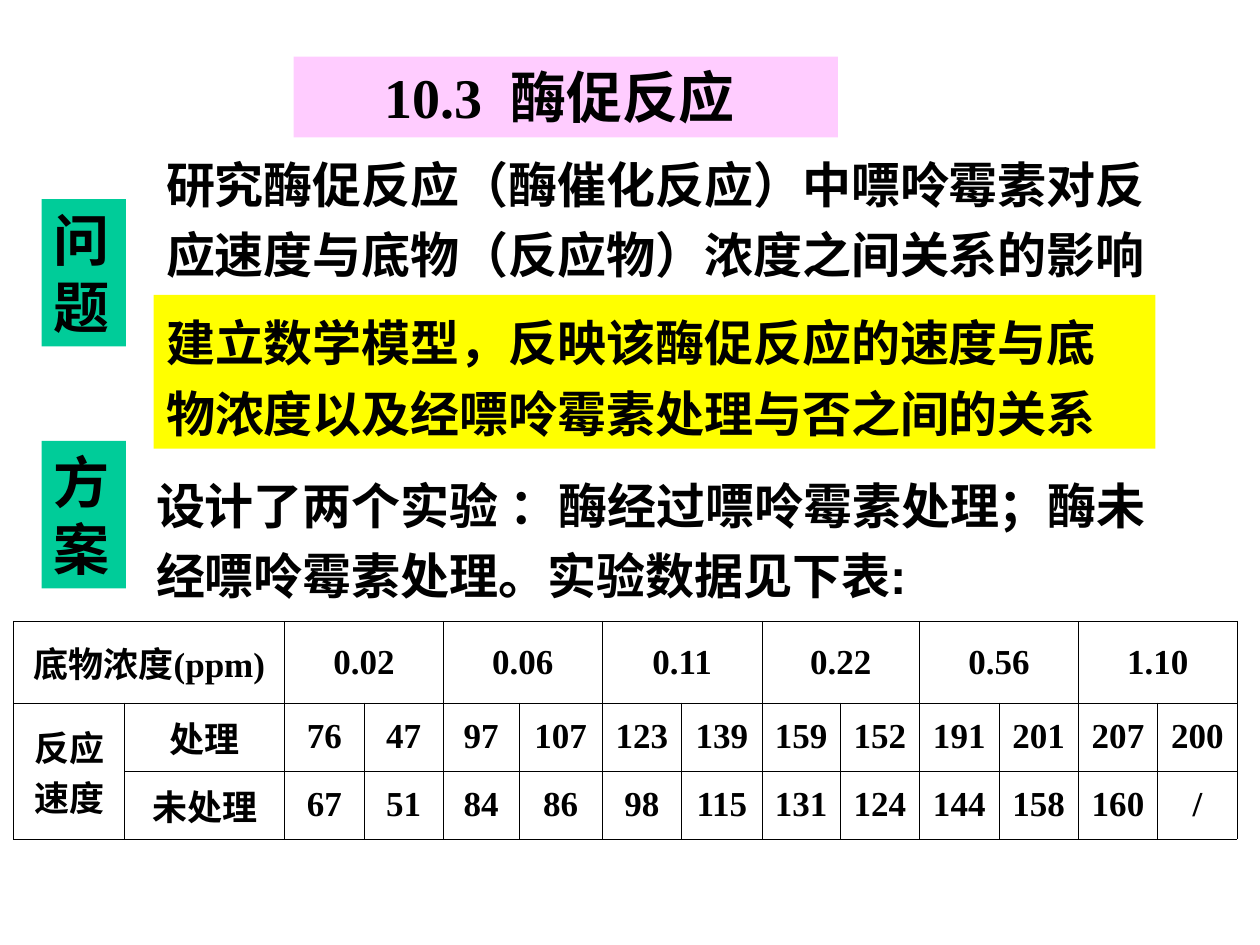
from lxml import etree
from pptx import Presentation
from pptx.dml.color import RGBColor
from pptx.enum import shapes, text
from pptx.oxml import ns
from pptx.util import Inches, Pt

SERIF, SANS, CHINESE = "Times New Roman", "Arial", "Noto Sans CJK SC"
BLACK, PINK, GREEN, YELLOW = "000000", "FFCCFF", "00CC99", "FFFF00"
LEFT, CENTER = text.PP_ALIGN.LEFT, text.PP_ALIGN.CENTER

# Boxes: position, fill, font size, alignment, line spacing, space before, runs
BOXES = [
    ((2.33, 0.45, 4.32, 0.64), PINK, 32, CENTER, 1, 20,
     [("10.3  ", SERIF), ("酶促反应 ", CHINESE)]),
    ((0.33, 1.58, 0.67, 1.17), GREEN, 32, LEFT, 1, 20, [("问题", SERIF)]),
    ((1.22, 1.08, 8.03, 1.22), None, 28, LEFT, 1.2, 17.5,
     [("研究酶促反应（", SANS), ("酶催化反应）", CHINESE),
      ("中嘌呤霉素对反应速度与底物", SANS), ("（反应物）", CHINESE),
      ("浓度之间关系的影响 ", SANS)]),
    ((1.22, 2.34, 7.95, 1.22), YELLOW, 28, LEFT, 1.2, 17.5,
     [("建立数学模型，反映该酶促反应的速度与底物浓度以及经嘌呤霉素处理与否之间的关系 ", SANS)]),
    ((1.14, 3.63, 8.35, 1.22), None, 28, LEFT, 1.2, 0,
     [("设计了两个实验 ：酶经过嘌呤霉素处理；酶未经嘌呤霉素处理。实验数据见下表: ", SANS)]),
    ((0.33, 3.5, 0.67, 1.17), GREEN, 32, LEFT, 1, 20, [("方案", SERIF)]),
]

# Table content
CONCENTRATIONS = ["0.02", "0.06", "0.11", "0.22", "0.56", "1.10"]
SPEEDS = {
    "处理": [76, 47, 97, 107, 123, 139, 159, 152, 191, 201, 207, 200],
    "未处理": [67, 51, 84, 86, 98, 115, 131, 124, 144, 158, 160, "/"],
}
COLUMNS = [0.88, 1.27, 0.63, 0.63, 0.6, 0.66, 0.63, 0.64, 0.62] + [0.63] * 5
ROWS = [0.65, 0.54, 0.54]


def color(value):
    return RGBColor.from_string(value)


def add_runs(paragraph, runs, size):
    for words, font_name in runs:
        run = paragraph.add_run()
        run.text = words
        run.font.name, run.font.size, run.font.bold = font_name, Pt(size), True
        run.font.color.rgb = color(BLACK)
        east_asian = etree.SubElement(run.font._element, ns.qn("a:ea"))
        east_asian.set("typeface", CHINESE)


def add_box(position, fill, size, align, line_spacing, space_before, runs):
    place = [Inches(value) for value in position]
    if fill:
        shape = slide.shapes.add_shape(shapes.MSO_SHAPE.RECTANGLE, *place)
        shape.shadow.inherit = False
        shape.fill.solid()
        shape.fill.fore_color.rgb = color(fill)
        shape.line.fill.background()
    else:
        shape = slide.shapes.add_textbox(*place)
    frame = shape.text_frame
    frame.word_wrap = True
    frame.auto_size = text.MSO_AUTO_SIZE.SHAPE_TO_FIT_TEXT
    frame.vertical_anchor = text.MSO_ANCHOR.TOP
    paragraph = frame.paragraphs[0]
    paragraph.alignment = align
    paragraph.line_spacing = line_spacing
    paragraph.space_before = Pt(space_before)
    add_runs(paragraph, runs, size)


def add_borders(cell):
    properties = cell._tc.get_or_add_tcPr()
    for index, side in enumerate(("lnL", "lnR", "lnT", "lnB")):
        line = etree.Element(ns.qn("a:" + side), w=str(Pt(0.45)))
        fill = etree.SubElement(line, ns.qn("a:solidFill"))
        etree.SubElement(fill, ns.qn("a:srgbClr"), val=BLACK)
        properties.insert(index, line)


def fill_cell(row, column, runs, last_row=None, last_column=None):
    cell = table.cell(row, column)
    if last_row or last_column:
        cell.merge(table.cell(last_row or row, last_column or column))
    cell.vertical_anchor = text.MSO_ANCHOR.MIDDLE
    paragraph = cell.text_frame.paragraphs[0]
    paragraph.alignment = CENTER
    add_runs(paragraph, runs, 20)


presentation = Presentation()
presentation.slide_width, presentation.slide_height = Inches(10), Inches(7.5)
slide = presentation.slides.add_slide(presentation.slide_layouts[6])

# Title, labels and paragraphs
for box in BOXES:
    add_box(*box)

# Table grid
table = slide.shapes.add_table(
    len(ROWS), len(COLUMNS), Inches(0.11), Inches(4.93),
    Inches(sum(COLUMNS)), Inches(sum(ROWS))).table
table.first_row = table.horz_banding = False
for column, width in zip(table.columns, COLUMNS):
    column.width = Inches(width)
for row, height in zip(table.rows, ROWS):
    row.height = Inches(height)
for cell in table.iter_cells():
    cell.margin_left = cell.margin_right = Inches(0.1)
    cell.fill.background()
    add_borders(cell)

# Table text
fill_cell(0, 0, [("底物浓度", CHINESE), ("(ppm)", SERIF)], last_column=1)
for index, value in enumerate(CONCENTRATIONS):
    first = 2 + 2 * index
    fill_cell(0, first, [(value, SERIF)], last_column=first + 1)
fill_cell(1, 0, [("反应速度", CHINESE)], last_row=2)
for row, (label, values) in enumerate(SPEEDS.items(), 1):
    fill_cell(row, 1, [(label, CHINESE)])
    for column, value in enumerate(values, 2):
        fill_cell(row, column, [(str(value), SERIF)])

presentation.save("out.pptx")
